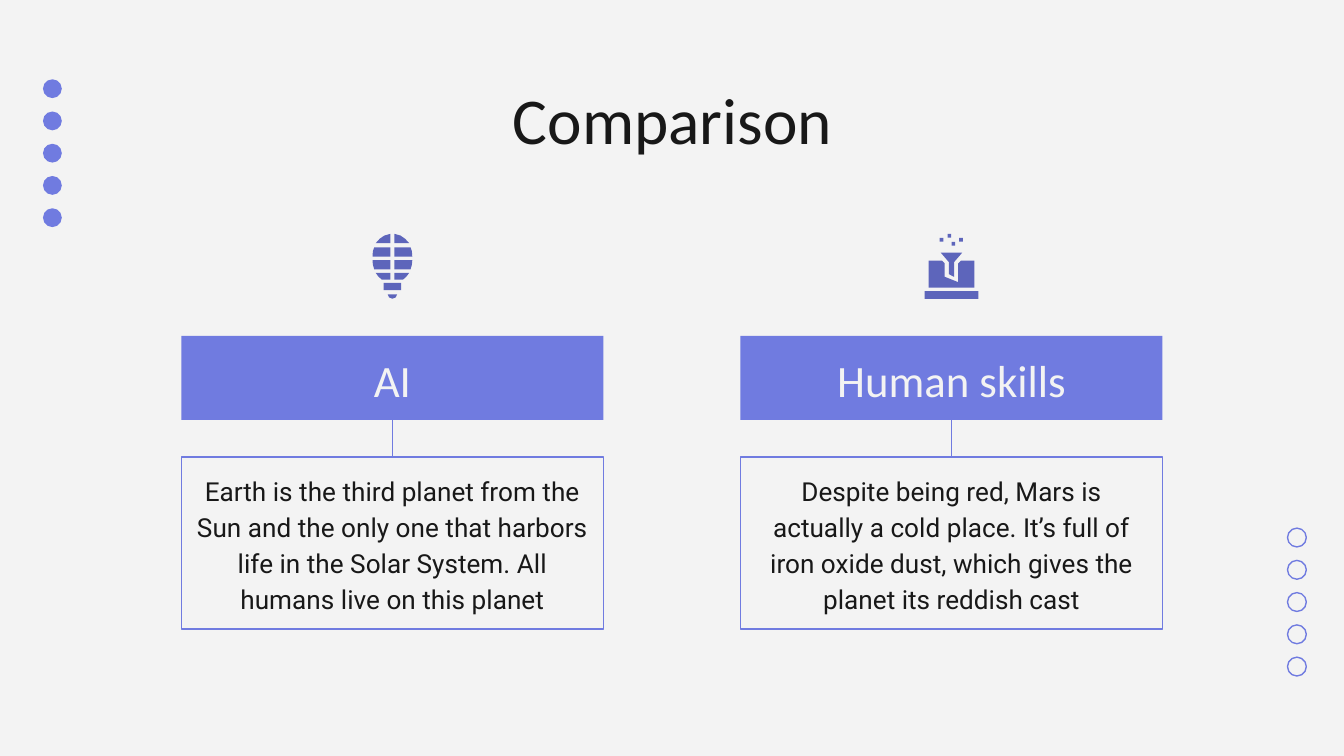
from collections import namedtuple

from lxml import etree
from pptx import Presentation
from pptx.dml.color import RGBColor
from pptx.enum.shapes import MSO_CONNECTOR as Connector, MSO_SHAPE as Shape
from pptx.enum.text import MSO_ANCHOR as Anchor, PP_ALIGN as Align
from pptx.oxml.ns import qn
from pptx.util import Inches, Pt

COLUMNS, ROWS = 100, 56.25
CELL = Inches(0.1)
COLORS = {
    "background": "F3F3F3",
    "accent": "707BE0",
    "icon": "5D65BB",
    "ink": "181818",
}
HEADING_FONT, BODY_FONT = "Calibri", "Roboto"

Box = namedtuple("Box", "left top width height")


def cells(*lengths):
    return [round(length * CELL) for length in lengths]


def color(name):
    return RGBColor.from_string(COLORS[name])


def paint(shape, fill=None, line=None):
    shape.shadow.inherit = False
    if fill:
        shape.fill.solid()
        shape.fill.fore_color.rgb = color(fill)
    else:
        shape.fill.background()
    if line:
        shape.line.color.rgb = color(line)
        shape.line.width = Pt(0.75)
    else:
        shape.line.fill.background()


def add_preset(page, kind, box, fill=None, line=None):
    shape = page.shapes.add_shape(kind, *cells(*box))
    paint(shape, fill, line)
    return shape


def add_outline(page, points, left, top):
    corners = [cells(left + x, top + y) for x, y in points]
    builder = page.shapes.build_freeform(*corners[0])
    builder.add_line_segments(corners[1:], close=True)
    paint(builder.convert_to_shape(), "icon")


def write(shape, text, font, size, ink, anchor=Anchor.TOP, spacing=1):
    frame = shape.text_frame
    frame.word_wrap = True
    frame.vertical_anchor = anchor
    frame.margin_left = frame.margin_right = CELL
    frame.margin_top = frame.margin_bottom = CELL
    para = frame.paragraphs[0]
    para.text = text
    para.alignment = Align.CENTER
    para.line_spacing = spacing
    para.font.name = font
    para.font.size = Pt(size)
    para.font.color.rgb = color(ink)


def add_title(page, box, text):
    write(page.shapes.add_textbox(*cells(*box)), text, HEADING_FONT, 35, "ink")


def add_dots(page, box, fill=None, line=None, count=5):
    step = (box.height - box.width) / (count - 1)
    for index in range(count):
        dot = Box(box.left, box.top + index * step, box.width, box.width)
        add_preset(page, Shape.OVAL, dot, fill, line)


def draw_bulb(page, center, top):
    bands = [
        [(0.15, 0), (0.15, 0.7), (1.25, 0.7), (0.95, 0.37), (0.6, 0.13)],
        [(0.15, 1), (1.35, 1), (1.45, 1.3), (1.48, 1.7), (0.15, 1.7)],
        [(0.15, 1.95), (1.48, 1.95), (1.45, 2.3), (1.35, 2.65), (0.15, 2.65)],
        [(0.15, 2.9), (1.25, 2.9), (1.05, 3.17), (0.8, 3.4), (0.15, 3.4)],
    ]
    for band in bands:
        for side in (-1, 1):
            add_outline(page, [(side * x, y) for x, y in band], center, top)
    add_preset(page, Shape.RECTANGLE, Box(center - 0.65, top + 3.65, 1.3, 0.55), "icon")
    tip = [(-0.35, 4.5), (-0.25, 4.73), (0, 4.83), (0.25, 4.73), (0.35, 4.5)]
    add_outline(page, tip, center, top)


def draw_laptop(page, center, top):
    for x, y in [(-0.3, 0), (-0.88, 0.3), (0, 0.6), (0.57, 0.3)]:
        add_preset(page, Shape.RECTANGLE, Box(center + x, top + y, 0.28, 0.28), "icon")
    add_preset(page, Shape.RECTANGLE, Box(center - 2, top + 4.27, 4, 0.57), "icon")
    screen = [(-1.7, 2), (-1.7, 4), (1.7, 4), (1.7, 2), (0.7, 2),
              (0.5, 2.2), (0.5, 3.6), (-0.5, 3.2), (-0.5, 2.2), (-0.7, 2)]
    funnel = [(-0.8, 1.4), (-0.2, 2.1), (-0.2, 3), (0.2, 3.2), (0.2, 2.1), (0.8, 1.4)]
    for outline in (screen, funnel):
        add_outline(page, outline, center, top)


def add_panel(page, box, heading, text, draw_icon):
    header_box = Box(box.left, box.top + 7.6, box.width, 6.25)
    body_box = Box(box.left, box.top + 16.6, box.width, box.height - 16.6)
    body = add_preset(page, Shape.RECTANGLE, body_box, line="accent")
    write(body, text, BODY_FONT, 14, "ink", spacing=1.15)
    header = add_preset(page, Shape.RECTANGLE, header_box, "accent")
    write(header, heading, HEADING_FONT, 24, "background", Anchor.BOTTOM, 1.15)

    link = page.shapes.add_connector(Connector.STRAIGHT, 0, 0, 0, 0)
    link.begin_connect(header, 2)
    link.end_connect(body, 0)
    link.line.color.rgb = color("accent")
    link.line.width = Pt(0.75)
    etree.SubElement(link._element.spPr, qn("a:effectLst"))

    draw_icon(page, box.left + box.width / 2, box.top)


def main():
    deck = Presentation()
    deck.slide_width, deck.slide_height = cells(COLUMNS, ROWS)
    page = deck.slides.add_slide(deck.slide_layouts[6])
    page.background.fill.solid()
    page.background.fill.fore_color.rgb = color("background")

    add_dots(page, Box(95.8, 39.3, 1.4, 11), line="accent")
    add_dots(page, Box(3.2, 5.9, 1.4, 11), fill="accent")
    add_title(page, Box(7.9, 4.9, 84.3, 6.3), "Comparison")

    margin, width = 13.5, 31.4
    panels = [
        ("AI", "Earth is the third planet from the Sun and the only one that harbors "
         "life in the Solar System. All humans live on this planet", draw_bulb),
        ("Human skills", "Despite being red, Mars is actually a cold place. It’s full of "
         "iron oxide dust, which gives the planet its reddish cast", draw_laptop),
    ]
    for left, panel in zip((margin, COLUMNS - margin - width), panels):
        add_panel(page, Box(left, 17.4, width, 29.4), *panel)

    deck.save("out.pptx")


if __name__ == "__main__":
    main()
